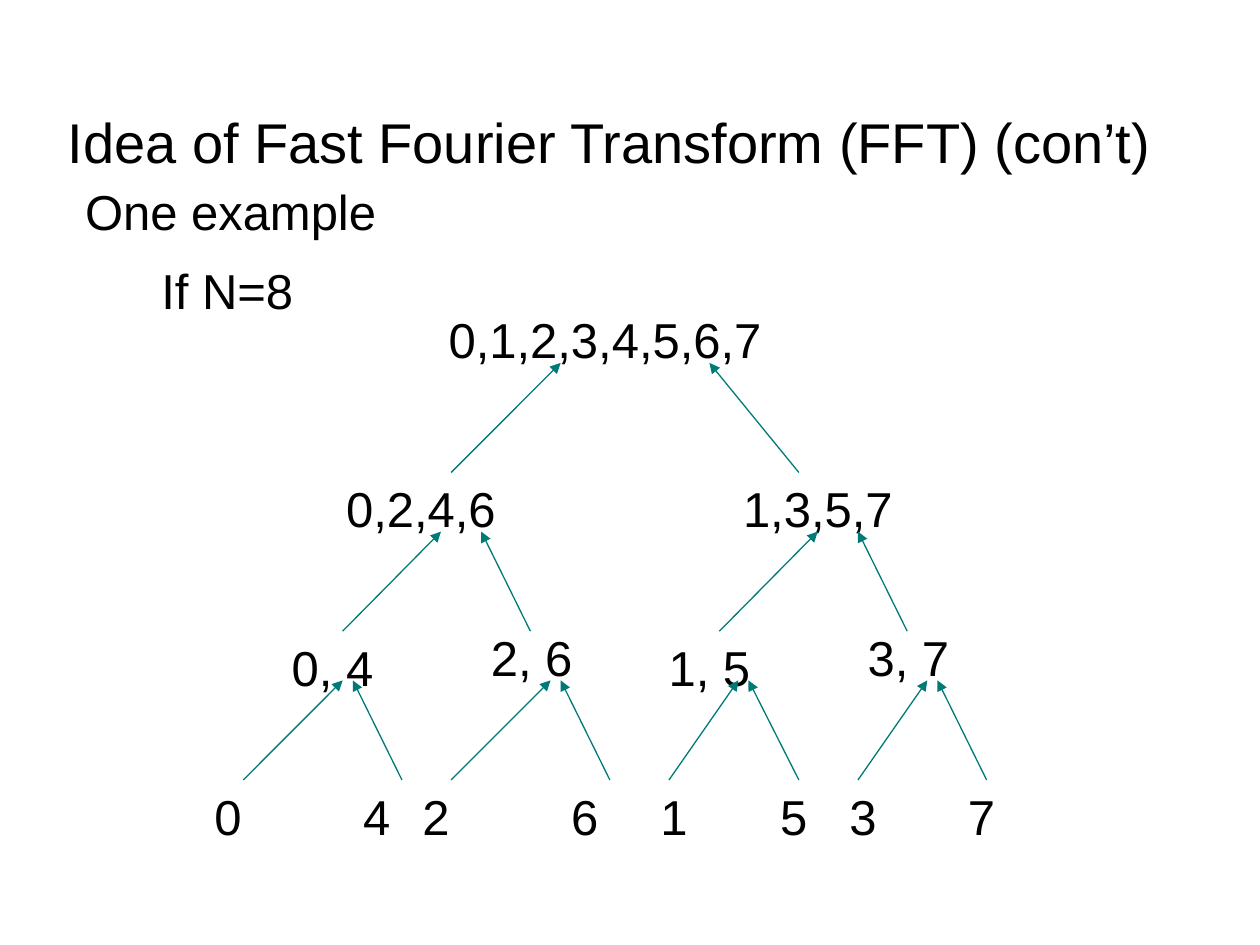
import pptx
import pptx.util
import pptx.dml.color
import pptx.enum.shapes
import pptx.enum.text
from lxml import etree

Pt = pptx.util.Pt

THEME = {
    "font": "Arial",
    "title_size": 32,
    "body_size": 28,
    "text": pptx.dml.color.RGBColor(0x00, 0x00, 0x00),
    "arrow": pptx.dml.color.RGBColor(0x00, 0x7A, 0x77),
    "arrow_width": 0.75,
}
INSET_X, INSET_Y = 7.2, 3.6
LABEL_HEIGHT = 33.8

TITLE = "Idea of Fast Fourier Transform (FFT) (con’t)"

# Text, left, top, width, right inset
HEADINGS = [
    ("One example", 0, 100.1, 263.5, INSET_X),
    ("If N=8", 19.4, 145.4, 221, INSET_X),
    ("0,1,2,3,4,5,6,7", 235.4, 173.5, 244.1, 30.5),
]

# Each level of the tree: nodes are (text, centre x, rise above the level's top),
# arrows are (start x, end x), pointing up to the level above
LEVELS = [
    {
        "top": 270, "width": 170, "arrow_end": 207.4,
        "nodes": [("0,2,4,6", 240.5, 0), ("1,3,5,7", 467.3, 0)],
        "arrows": [(257.8, 320.4), (456.5, 405.4)],
    },
    {
        "top": 360.7, "width": 113.8, "arrow_end": 303.8,
        "nodes": [("0, 4", 190, 0), ("2, 6", 303.8, 5.7),
                  ("1, 5", 405.4, 0), ("3, 7", 519.1, 5.7)],
        "arrows": [(195.8, 252), (303.1, 275), (411.1, 467.3), (518.4, 490.3)],
    },
    {
        "top": 445.7, "width": 73.4, "arrow_end": 388.8,
        "nodes": [("0", 130.3, 0), ("4", 215.3, 0), ("2", 249.1, 0), ("6", 334.1, 0),
                  ("1", 385.2, 0), ("5", 453.6, 0), ("3", 493.2, 0), ("7", 560.9, 0)],
        "arrows": [(139, 195.8), (229.7, 201.6), (257.8, 314.6), (348.5, 320.4),
                   (382.3, 421.9), (456.5, 427.7), (490.3, 529.9), (563.8, 535.7)],
    },
]


def write_text(shape, text, size, top_inset=INSET_Y, right_inset=INSET_X):
    frame = shape.text_frame
    frame.word_wrap = True
    frame.auto_size = pptx.enum.text.MSO_AUTO_SIZE.NONE
    frame.vertical_anchor = pptx.enum.text.MSO_ANCHOR.TOP
    frame.margin_left, frame.margin_right = Pt(INSET_X), Pt(right_inset)
    frame.margin_top, frame.margin_bottom = Pt(top_inset), Pt(INSET_Y)
    paragraph = frame.paragraphs[0]
    paragraph.text = text
    paragraph.alignment = pptx.enum.text.PP_ALIGN.CENTER
    paragraph.font.name = THEME["font"]
    paragraph.font.size = Pt(size)
    paragraph.font.color.rgb = THEME["text"]


def add_label(slide, text, left, top, width, right_inset=INSET_X):
    label = slide.shapes.add_textbox(Pt(left), Pt(top), Pt(width), Pt(LABEL_HEIGHT))
    write_text(label, text, THEME["body_size"], right_inset=right_inset)


def add_arrow(slide, start_x, start_y, end_x, end_y):
    arrow = slide.shapes.add_connector(
        pptx.enum.shapes.MSO_CONNECTOR.STRAIGHT,
        Pt(start_x), Pt(start_y), Pt(end_x), Pt(end_y))
    arrow.line.color.rgb = THEME["arrow"]
    arrow.line.width = Pt(THEME["arrow_width"])
    namespace = pptx.oxml.ns.qn
    line = arrow.line._get_or_add_ln()
    etree.SubElement(line, namespace("a:tailEnd"), type="triangle")
    etree.SubElement(arrow._element.spPr, namespace("a:effectLst"))


def main():
    presentation = pptx.Presentation()
    presentation.slide_width, presentation.slide_height = Pt(720), Pt(540)
    slide = presentation.slides.add_slide(presentation.slide_layouts[5])

    # Title
    title = slide.shapes.title
    title.left, title.top, title.width, title.height = Pt(19.4), Pt(54.7), Pt(658), Pt(56.9)
    write_text(title, TITLE, THEME["title_size"], top_inset=6.5)

    # Introduction and root of the tree
    for heading in HEADINGS:
        add_label(slide, *heading)

    # Tree levels
    for level in LEVELS:
        for start_x, end_x in level["arrows"]:
            add_arrow(slide, start_x, level["top"], end_x, level["arrow_end"])
        for text, centre, rise in level["nodes"]:
            add_label(slide, text, centre - level["width"] / 2,
                      level["top"] - rise, level["width"])

    presentation.save("out.pptx")


if __name__ == "__main__":
    main()
